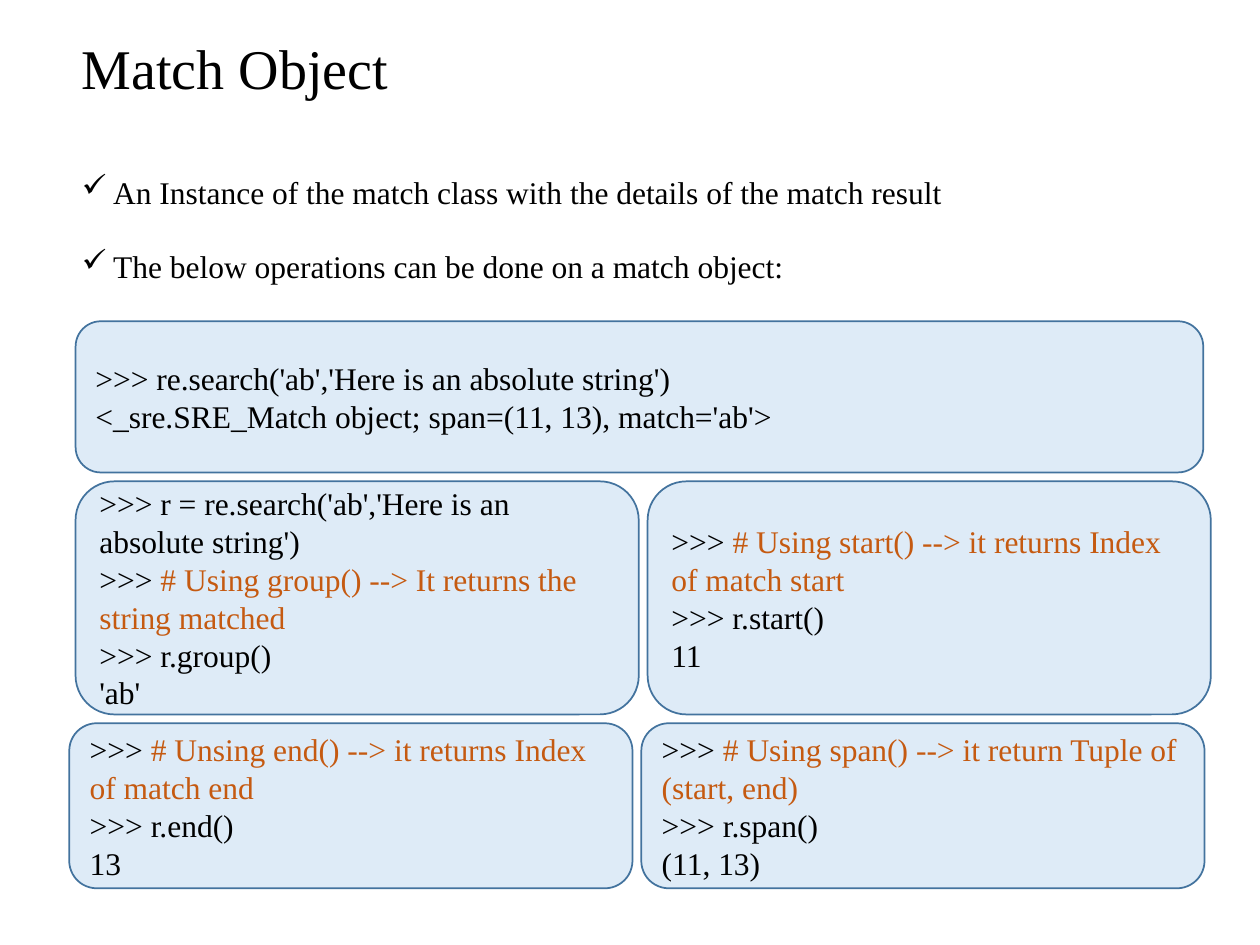
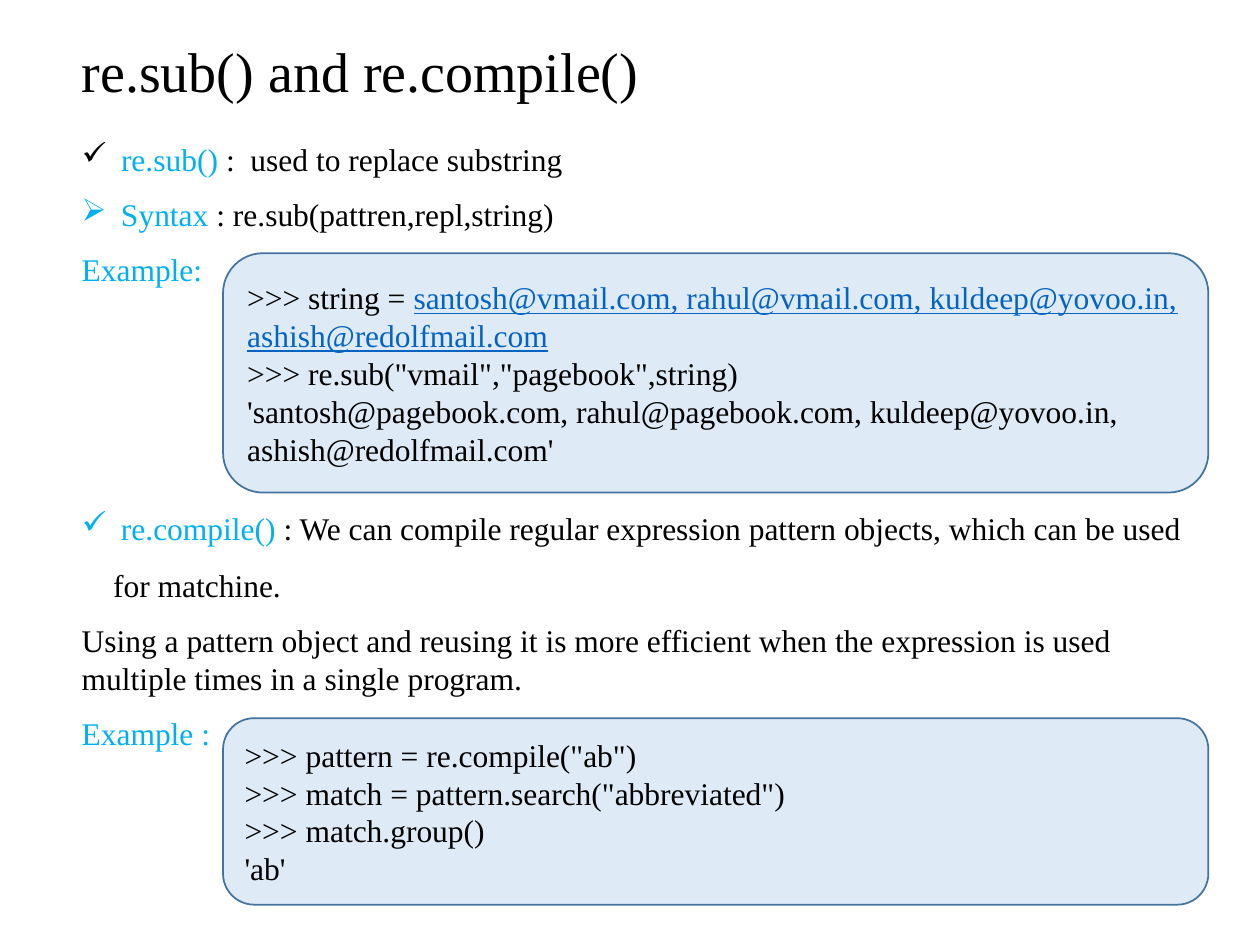
from dataclasses import dataclass
from typing import NamedTuple

from lxml.etree import SubElement
from pptx import Presentation
from pptx.dml.color import RGBColor
from pptx.enum.shapes import MSO_SHAPE
from pptx.enum.text import MSO_ANCHOR, PP_ALIGN
from pptx.oxml.ns import qn
from pptx.util import Inches, Pt

FONT = "Times New Roman"
BLACK, ORANGE, CYAN, LINK = "000000", "C55A11", "00B0F0", "0563C1"
BOX_FILL, BOX_LINE = "DEEBF7", "43739E"
CHECK, ARROW = "ü", "Ø"
TITLE_SIZE, TEXT_SIZE = 32, 18
LEFT, BODY_W, GAP = 5.5, 90.3, 0.7
HALF_W = 44.7

prs = Presentation()
prs.slide_width, prs.slide_height = Inches(10), Inches(7.5)
COL, ROW = prs.slide_width / 100, prs.slide_height / 75


class Area(NamedTuple):
    col: float
    row: float
    cols: float
    rows: float

    def emu(self) -> tuple:
        return (round(self.col * COL), round(self.row * ROW),
                round(self.cols * COL), round(self.rows * ROW))


class Run(NamedTuple):
    text: str
    color: str = BLACK
    underline: bool = False


@dataclass
class Para:
    runs: list
    bullet: str = ""
    spacing: float = 1.0
    before: float = 0


@dataclass
class CodeBox:
    area: Area
    lines: list


def rgb(color: str) -> RGBColor:
    return RGBColor.from_string(color)


def add_bullet(p, char: str) -> None:
    pPr = p._p.get_or_add_pPr()
    pPr.set("marL", str(Inches(0.25)))
    pPr.set("indent", str(-Inches(0.25)))
    SubElement(pPr, qn("a:buFont"), typeface="Wingdings")
    SubElement(pPr, qn("a:buChar"), char=char)


def write(tf, paras: list, size: float = TEXT_SIZE) -> None:
    tf.word_wrap = True
    for i, para in enumerate(paras):
        p = tf.add_paragraph() if i else tf.paragraphs[0]
        p.alignment = PP_ALIGN.LEFT
        p.line_spacing = para.spacing
        p.space_before = Pt(para.before)
        if para.bullet:
            add_bullet(p, para.bullet)
        for run in para.runs:
            r = p.add_run()
            r.text = run.text
            r.font.name, r.font.size = FONT, Pt(size)
            r.font.color.rgb = rgb(run.color)
            if run.underline:
                r.font.underline = True


def add_text(s, area: Area, paras: list, size: float = TEXT_SIZE,
             anchor=MSO_ANCHOR.TOP) -> None:
    tf = s.shapes.add_textbox(*area.emu()).text_frame
    tf.vertical_anchor = anchor
    write(tf, paras, size)


def add_code(s, box: CodeBox) -> None:
    sp = s.shapes.add_shape(MSO_SHAPE.ROUNDED_RECTANGLE, *box.area.emu())
    sp.shadow.inherit = False
    sp.fill.solid()
    sp.fill.fore_color.rgb = rgb(BOX_FILL)
    sp.line.color.rgb = rgb(BOX_LINE)
    sp.line.width = Pt(1)
    sp.text_frame.vertical_anchor = MSO_ANCHOR.MIDDLE
    write(sp.text_frame, [Para(line if isinstance(line, list) else [Run(line)])
                          for line in box.lines])


def add_slide(title: str, title_row: float, body: Area, paras: list,
              boxes: list) -> None:
    s = prs.slides.add_slide(prs.slide_layouts[6])
    add_text(s, Area(LEFT, title_row, 80.7, 4.2),
             [Para([Run(title)], spacing=0.9)], TITLE_SIZE, MSO_ANCHOR.MIDDLE)
    add_text(s, body, paras)
    for box in boxes:
        add_code(s, box)


def prompt(note: str) -> list:
    return [Run(">>> "), Run(note, ORANGE)]


def pair(left: float, row: float, rows: float, texts: list) -> list:
    return [CodeBox(Area(left + i * (HALF_W + GAP), row, HALF_W, rows), lines)
            for i, lines in enumerate(texts)]


band = Area(6, 25.5, 89.5, 12)
upper_row, upper_h = band.row + band.rows + GAP, 18.5
lower_row = upper_row + upper_h + GAP
SEARCH = "re.search('ab','Here is an absolute string')"

add_slide(
    "Match Object", 3.6, Area(LEFT, 11.7, BODY_W, 44.8),
    [Para([Run(text)], CHECK, 1.5, 10) for text in (
        "An Instance of the match class with the details of the match result",
        "The below operations can be done on a match object:")],
    [CodeBox(band, [f">>> {SEARCH}",
                    "<_sre.SRE_Match object; span=(11, 13), match='ab'>"])]
    + pair(6, upper_row, upper_h, [
        [f">>> r = {SEARCH}",
         prompt("# Using group() --> It returns the string matched"),
         ">>> r.group()", "'ab'"],
        [prompt("# Using start() --> it returns Index of match start"),
         ">>> r.start()", "11"]])
    + pair(LEFT, lower_row, 13.1, [
        [prompt("# Unsing end() --> it returns Index of match end"),
         ">>> r.end()", "13"],
        [prompt("# Using span() --> it return Tuple of (start, end)"),
         ">>> r.span()", "(11, 13)"]]))

MAILS = ("santosh@{0}.com, rahul@{0}.com, kuldeep@yovoo.in, "
         "ashish@redolfmail.com")
OLD, NEW = "vmail", "pagebook"

add_slide(
    "re.sub() and re.compile()", 3.8, Area(LEFT, 10.6, BODY_W, 62.6),
    [Para([Run(" "), Run("re.sub() ", CYAN),
           Run(":  used to replace substring")], CHECK, before=10),
     Para([Run(" Syntax ", CYAN), Run(": re.sub(pattren,repl,string)")],
          ARROW, before=10),
     Para([Run("Example:", CYAN)], before=10),
     Para([Run(" re.compile() ", CYAN),
           Run(": We can compile regular expression pattern objects, "
               "which can be used for matchine.")], CHECK, 1.5, 115.6),
     Para([Run("Using a pattern object and reusing it is more efficient when "
               "the expression is used multiple times in a single program.")],
          before=10),
     Para([Run("Example :", CYAN)], before=10)],
    [CodeBox(Area(17.7, 20.1, 78.2, 19),
             [[Run(">>> string = "), Run(MAILS.format(OLD), LINK, True)],
              f'>>> re.sub("{OLD}","{NEW}",string)',
              f"'{MAILS.format(NEW)}'"]),
     CodeBox(Area(17.7, 57, 78.2, 14.8),
             ['>>> pattern = re.compile("ab")',
              '>>> match = pattern.search("abbreviated")',
              ">>> match.group()", "'ab'"])])

prs.save("out.pptx")
